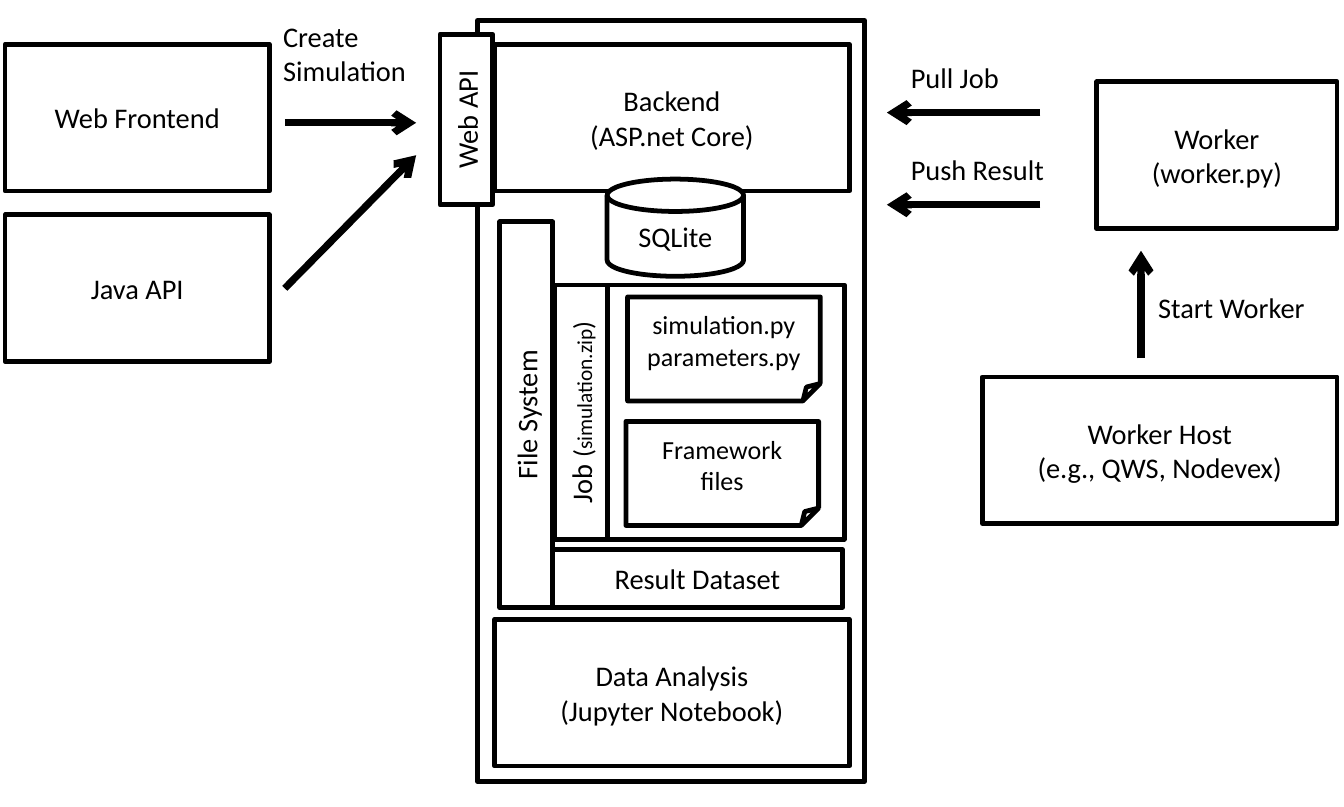
import pptx
import pptx.dml.color
import pptx.enum.shapes
import pptx.enum.text
import pptx.oxml
import pptx.oxml.ns
import pptx.util
from pptx.util import Inches

SHAPE = pptx.enum.shapes.MSO_SHAPE
ALIGN = pptx.enum.text.PP_ALIGN
BLACK, WHITE = "000000", "FFFFFF"
BOX_HEIGHT = 0.86
WIDE_BOX = 2.08
STRIP = 0.31


def color(value):
    return pptx.dml.color.RGBColor.from_string(value)


def format_run(run, size):
    run.font.name = "Calibri"
    run.font.size = pptx.util.Pt(size)
    run.font.color.rgb = color(BLACK)


def write(shape, text, size, alignment):
    frame = shape.text_frame
    frame.margin_left = frame.margin_right = Inches(0.08)
    frame.margin_top = frame.margin_bottom = Inches(0.04)
    frame.text = text
    for paragraph in frame.paragraphs:
        paragraph.alignment = alignment
        for run in paragraph.runs:
            format_run(run, size)


def add_box(slide, left, top, width, height, text="", size=12,
            kind=SHAPE.RECTANGLE, filled=True):
    shape = slide.shapes.add_shape(
        kind, Inches(left), Inches(top), Inches(width), Inches(height))
    shape.shadow.inherit = False
    if filled:
        shape.fill.solid()
        shape.fill.fore_color.rgb = color(WHITE)
    else:
        shape.fill.background()
    shape.line.color.rgb = color(BLACK)
    shape.line.width = pptx.util.Pt(2)
    shape.text_frame.word_wrap = True
    shape.text_frame.vertical_anchor = pptx.enum.text.MSO_ANCHOR.MIDDLE
    if text:
        write(shape, text, size, ALIGN.CENTER)
    return shape


def add_vertical_strip(slide, left, top, height, text):
    """Upright strip whose text reads from bottom to top."""
    shift = (height - STRIP) / 2
    shape = add_box(slide, left - shift, top + shift, height, STRIP, text)
    shape.rotation = 270
    return shape


def add_label(slide, left, top, width, height, text):
    label = slide.shapes.add_textbox(
        Inches(left), Inches(top), Inches(width), Inches(height))
    label.text_frame.word_wrap = False
    write(label, text, 12, ALIGN.LEFT)


def add_arrow(slide, start_x, start_y, end_x, end_y):
    arrow = slide.shapes.add_connector(
        pptx.enum.shapes.MSO_CONNECTOR.STRAIGHT,
        Inches(start_x), Inches(start_y), Inches(end_x), Inches(end_y))
    arrow.line.color.rgb = color(BLACK)
    arrow.line.width = pptx.util.Pt(3)
    properties = arrow.element.spPr
    head = pptx.oxml.parse_xml(
        f'<a:tailEnd {pptx.oxml.ns.nsdecls("a")} type="arrow"/>')
    arrow.line._get_or_add_ln().append(head)
    properties.append(pptx.oxml.parse_xml(
        f'<a:effectLst {pptx.oxml.ns.nsdecls("a")}/>'))


def add_clients(slide, left, top):
    width = 1.55
    for index, name in enumerate(("Web Frontend", "Java API")):
        add_box(slide, left, top + index, width, BOX_HEIGHT, name)
    # Requests to the web API
    start, end = left + 1.64, left + 2.41
    add_arrow(slide, start, top + 0.46, end, top + 0.46)
    add_arrow(slide, start, top + 1.43, end, top + 0.65)
    add_label(slide, left + width, top - 0.19, 0.88, 0.48,
              "Create\nSimulation")


def add_job(slide, left, top, height):
    # Files in the job
    add_box(slide, left + 0.31, top, 1.39, height, filled=False)
    files = ((0.43, 0.07, "simulation.py\nparameters.py"),
             (0.42, 0.8, "Framework files"))
    for x, y, text in files:
        add_box(slide, left + x, top + y, 1.13, 0.61, text, 11,
                SHAPE.FOLDED_CORNER, filled=False)
    # Job title in mixed sizes
    strip = add_vertical_strip(slide, left, top, height, "Job ")
    paragraph = strip.text_frame.paragraphs[0]
    for text, size in (("(", 11), ("simulation.zip", 9), (")", 11)):
        run = paragraph.add_run()
        run.text = text
        format_run(run, size)


def add_server(slide, left, top, width, height):
    add_box(slide, left, top, width, height, filled=False)
    # Backend with its API and database
    add_box(slide, left + 0.1, top + 0.14, WIDE_BOX, BOX_HEIGHT,
            "Backend\n(ASP.net Core)")
    add_vertical_strip(slide, left - 0.22, top + 0.08, 1, "Web API")
    add_box(slide, left + 0.76, top + 0.93, 0.8, 0.57, "SQLite",
            kind=SHAPE.FLOWCHART_MAGNETIC_DISK)
    # File system contents
    add_job(slide, left + 0.45, top + 1.55, 1.49)
    add_box(slide, left + 0.44, top + 3.1, 1.7, 0.34, "Result Dataset")
    add_vertical_strip(slide, left + 0.13, top + 1.18, 2.26, "File System")
    # Analysis
    add_box(slide, left + 0.1, top + 3.51, WIDE_BOX, BOX_HEIGHT,
            "Data Analysis\n(Jupyter Notebook)")


def add_workers(slide, left, top):
    add_box(slide, left + 1.23, top, 1.41, BOX_HEIGHT, "Worker\n(worker.py)")
    add_box(slide, left + 0.56, top + 1.73, WIDE_BOX, BOX_HEIGHT,
            "Worker Host\n(e.g., QWS, Nodevex)")
    # Exchange with the server
    exchanges = (("Pull Job", 0.71), ("Push Result", 0.95))
    for index, (text, width) in enumerate(exchanges):
        y = top + 0.18 + index * 0.54
        add_arrow(slide, left + 0.9, y, left, y)
        add_label(slide, left + 0.06, y - 0.35, width, 0.28, text)
    # Launch of the worker
    add_arrow(slide, left + 1.49, top + 1.62, left + 1.49, top + 0.99)
    add_label(slide, left + 1.51, top + 1.18, 1.02, 0.28, "Start Worker")


def main():
    presentation = pptx.Presentation()
    presentation.slide_width = Inches(7.88)
    presentation.slide_height = Inches(4.73)
    slide = presentation.slides.add_slide(presentation.slide_layouts[6])
    add_clients(slide, 0.03, 0.26)
    add_server(slide, 2.8, 0.12, 2.27, 4.46)
    add_workers(slide, 5.2, 0.48)
    presentation.save("out.pptx")


if __name__ == "__main__":
    main()
